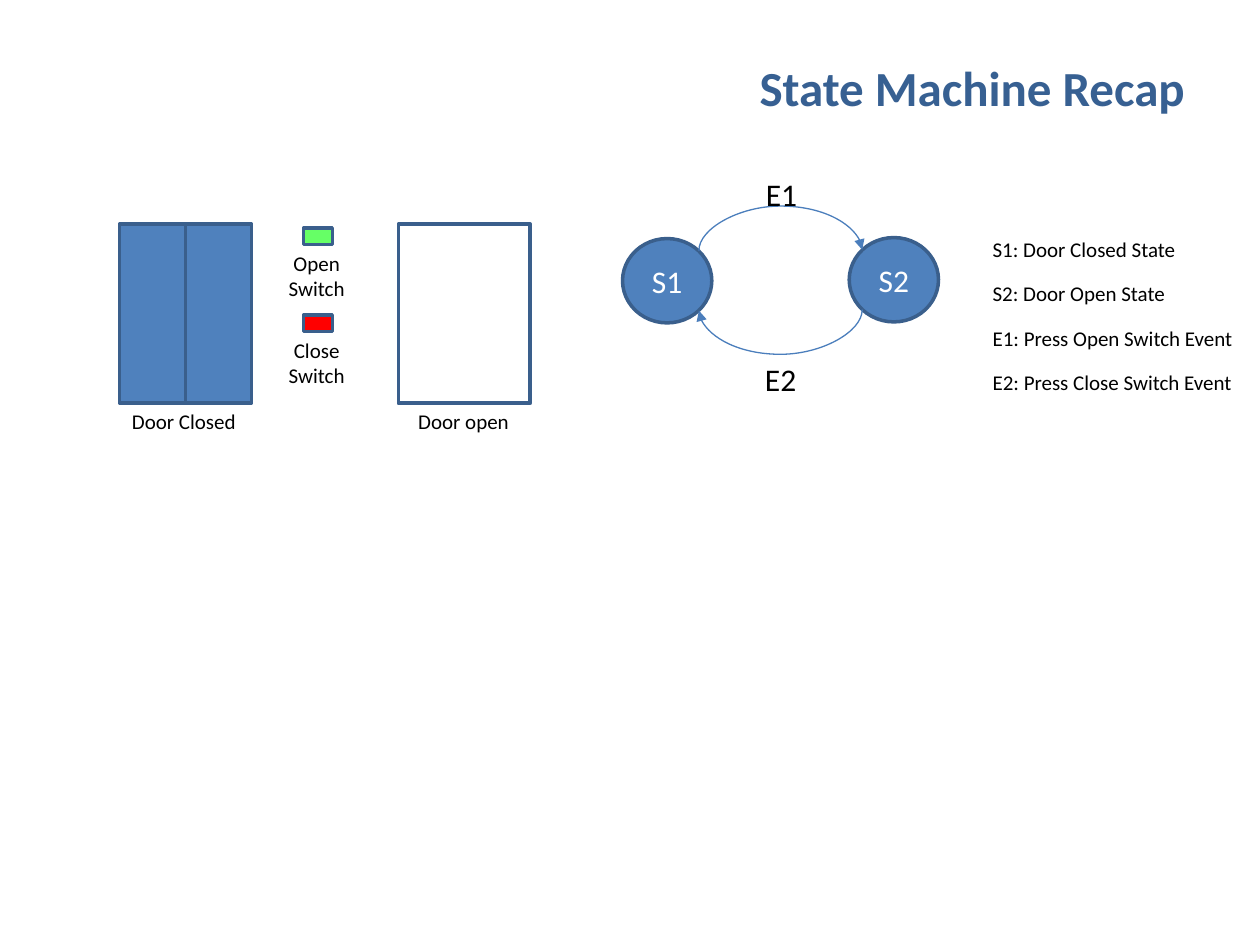
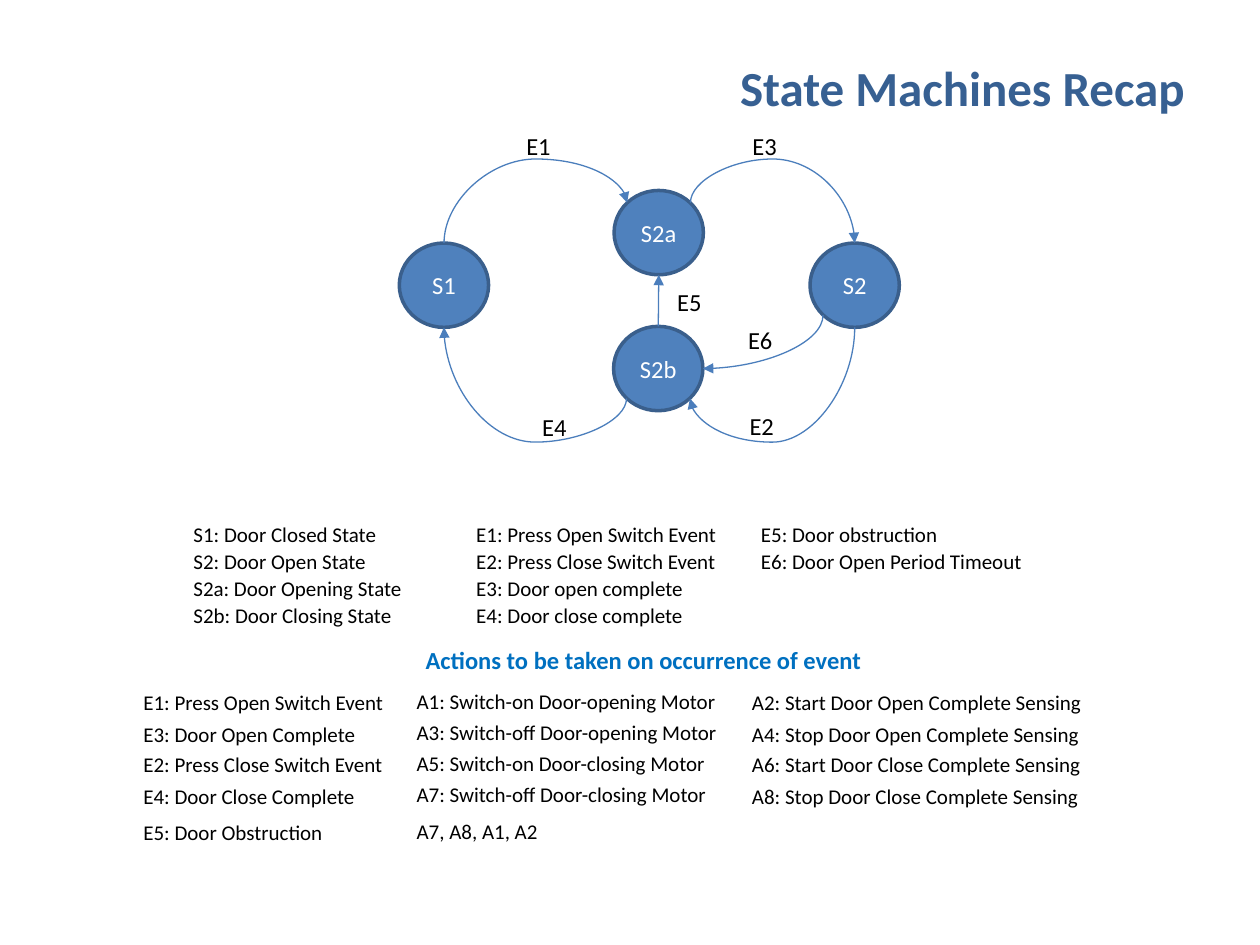
from lxml.etree import SubElement
from pptx import Presentation
from pptx.dml.color import RGBColor
from pptx.enum.shapes import MSO_CONNECTOR, MSO_SHAPE
from pptx.enum.text import MSO_ANCHOR, MSO_AUTO_SIZE, PP_ALIGN
from pptx.oxml.ns import qn
from pptx.util import Cm, Pt

FONT = "Calibri"
BLACK = RGBColor(0x00, 0x00, 0x00)
WHITE = RGBColor(0xFF, 0xFF, 0xFF)
TITLE_BLUE = RGBColor(0x37, 0x60, 0x92)
HEADING_BLUE = RGBColor(0x00, 0x70, 0xC0)
FILL_BLUE = RGBColor(0x4F, 0x81, 0xBD)
OUTLINE_BLUE = RGBColor(0x3A, 0x5F, 0x8C)
ARROW_BLUE = RGBColor(0x4B, 0x7E, 0xBC)
GREEN = RGBColor(0x66, 0xFF, 0x66)
RED = RGBColor(0xFF, 0x00, 0x00)

STATE_WIDTH, STATE_HEIGHT = 1.8, 1.7
BOW = 0.88
DIAGONAL = 0.71
TOP, BOTTOM, RIGHT = (0, -1), (0, 1), (1, 0)
TOP_LEFT, TOP_RIGHT = (-DIAGONAL, -DIAGONAL), (DIAGONAL, -DIAGONAL)
BOTTOM_LEFT, BOTTOM_RIGHT = (-DIAGONAL, DIAGONAL), (DIAGONAL, DIAGONAL)


def write(frame, text, size, color, align=PP_ALIGN.LEFT, bold=False):
    """Fill a text frame with one paragraph per line of text."""
    frame.text = text
    for paragraph in frame.paragraphs:
        paragraph.alignment = align
        paragraph.font.name = FONT
        paragraph.font.size = Pt(size)
        paragraph.font.bold = bold
        paragraph.font.color.rgb = color


def add_title(page, text):
    """Add the right-aligned slide title."""
    box = page.shapes.add_textbox(Cm(4.09), Cm(0.97), Cm(20.04), Cm(1.55))
    box.text_frame.word_wrap = True
    box.text_frame.vertical_anchor = MSO_ANCHOR.MIDDLE
    write(box.text_frame, text, 28, TITLE_BLUE, PP_ALIGN.RIGHT, True)


def add_label(page, left, top, width, text, size=12, color=BLACK, **style):
    """Add an unwrapped text box as tall as its lines."""
    height = Pt(size * 1.2) * len(text.split("\n")) + Cm(0.25)
    box = page.shapes.add_textbox(Cm(left), Cm(top), Cm(width), height)
    box.text_frame.word_wrap = False
    box.text_frame.auto_size = MSO_AUTO_SIZE.SHAPE_TO_FIT_TEXT
    write(box.text_frame, text, size, color, **style)


def add_column(page, left, tops, entries):
    """Add a column of labels, each given as text and width."""
    for top, (text, width) in zip(tops, entries):
        add_label(page, left, top, width, text)


def add_outlined(page, kind, left, top, width, height, fill=None):
    """Add a preset shape with the dark blue outline."""
    shape = page.shapes.add_shape(kind, Cm(left), Cm(top), Cm(width), Cm(height))
    shape.shadow.inherit = False
    shape.line.color.rgb = OUTLINE_BLUE
    shape.line.width = Pt(2)
    if fill is None:
        shape.fill.background()
    else:
        shape.fill.solid()
        shape.fill.fore_color.rgb = fill
    return shape


def add_state(page, name, center, size):
    """Add a state circle around its center."""
    x, y = center
    shape = add_outlined(page, MSO_SHAPE.OVAL, x - STATE_WIDTH / 2,
                         y - STATE_HEIGHT / 2, STATE_WIDTH, STATE_HEIGHT, FILL_BLUE)
    shape.text_frame.word_wrap = False
    shape.text_frame.vertical_anchor = MSO_ANCHOR.MIDDLE
    write(shape.text_frame, name, size, WHITE, PP_ALIGN.CENTER)


def anchor(center, side):
    """Return the point of a state's rim on the given side."""
    return (center[0] + side[0] * STATE_WIDTH / 2,
            center[1] + side[1] * STATE_HEIGHT / 2)


def add_arrow(page, kind, begin, end):
    """Add a thin connector with an arrowhead at its end."""
    arrow = page.shapes.add_connector(kind, *map(Cm, begin + end))
    arrow.line.color.rgb = ARROW_BLUE
    arrow.line.width = Pt(0.75)
    SubElement(arrow.line._get_or_add_ln(), qn("a:tailEnd"), type="triangle")
    SubElement(arrow._element.spPr, qn("a:effectLst"))
    return arrow


def add_curve(page, begin, end):
    """Add a curved arrow that leaves vertically, as a quarter turn of a preset."""
    x, y = (begin[0] + end[0]) / 2, (begin[1] + end[1]) / 2
    half_dx, half_dy = (end[0] - begin[0]) / 2, (end[1] - begin[1]) / 2
    curve = add_arrow(page, MSO_CONNECTOR.CURVE, (x - half_dy, y + half_dx),
                      (x + half_dy, y - half_dx))
    curve.rotation = 90
    return curve, curve._element.spPr.find(qn("a:prstGeom"))


def add_arc(page, begin, end, above):
    """Add a curved arrow that bows above or below both of its ends."""
    geometry = add_curve(page, begin, end)[1]
    ys = begin[1], end[1]
    peak = min(ys) - BOW if above else max(ys) + BOW
    share = round(100000 * (peak - ys[0]) / (ys[1] - ys[0]))
    guides = geometry.find(qn("a:avLst"))
    if guides is None:
        guides = SubElement(geometry, qn("a:avLst"))
    SubElement(guides, qn("a:gd"), name="adj1", fmla=f"val {share}")


def add_bend(page, begin, end):
    """Add a curved arrow that leaves vertically and arrives horizontally."""
    add_curve(page, begin, end)[1].set("prst", "curvedConnector2")


def add_doors(page):
    """Draw the closed door, the open door and the two switches."""
    top, height, leaf = 4.52, 3.61, 1.33
    for left in (2.41, 2.41 + leaf):
        add_outlined(page, MSO_SHAPE.RECTANGLE, left, top, leaf, height, FILL_BLUE)
    add_outlined(page, MSO_SHAPE.RECTANGLE, 8.03, top, 2 * leaf, height)
    add_label(page, 2.41, 8.12, 2.64, "Door Closed")
    add_label(page, 8.18, 8.12, 2.36, "Door open")
    for top, name, color in ((4.6, "Open", GREEN), (6.35, "Close", RED)):
        add_outlined(page, MSO_SHAPE.ACTION_BUTTON_CUSTOM, 6.12, top, 0.58, 0.33, color)
        add_label(page, 5.56, top + 0.33, 1.65, f"{name}\nSwitch", align=PP_ALIGN.CENTER)


def build_two_states(page):
    """Build the slide with the simple door machine."""
    add_title(page, "State Machine Recap")
    add_doors(page)
    closed, opened = (13.45, 5.66), (18.02, 5.64)
    add_state(page, "S1", closed, 18)
    add_state(page, "S2", opened, 18)
    add_arc(page, anchor(closed, TOP_RIGHT), anchor(opened, TOP_LEFT), True)
    add_arc(page, anchor(opened, BOTTOM_LEFT), anchor(closed, BOTTOM_RIGHT), False)
    add_label(page, 15.19, 3.4, 1.14, "E1", 18)
    add_label(page, 15.17, 7.14, 1.14, "E2", 18)
    add_column(page, 19.76, [4.65 + 0.89 * row for row in range(4)], [
        ("S1: Door Closed State", 4.24), ("S2: Door Open State", 4.04),
        ("E1: Press Open Switch Event", 5.51), ("E2: Press Close Switch Event", 5.49)])


def add_four_state_machine(page):
    """Draw the machine with the opening and closing states."""
    closed, opening = (8.95, 5.75), (13.28, 4.69)
    opened, closing = (17.23, 5.75), (13.27, 7.43)
    for name, center in (("S1", closed), ("S2a", opening), ("S2", opened), ("S2b", closing)):
        add_state(page, name, center, 14)
    add_arc(page, anchor(closed, TOP), anchor(opening, TOP_LEFT), True)
    add_arc(page, anchor(opening, TOP_RIGHT), anchor(opened, TOP), True)
    add_arc(page, anchor(closing, BOTTOM_LEFT), anchor(closed, BOTTOM), False)
    add_arc(page, anchor(opened, BOTTOM), anchor(closing, BOTTOM_RIGHT), False)
    add_bend(page, anchor(opened, BOTTOM_LEFT), anchor(closing, RIGHT))
    add_arrow(page, MSO_CONNECTOR.STRAIGHT, anchor(closing, TOP), anchor(opening, BOTTOM))
    for name, left, top in (("E1", 10.36, 2.51), ("E2", 14.86, 8.16), ("E3", 14.92, 2.51),
                            ("E4", 10.68, 8.18), ("E5", 13.4, 5.66), ("E6", 14.83, 6.42)):
        add_label(page, left, top, 1.02, name, 14)


def build_four_states(page):
    """Build the slide with the full machine, its legend and its actions."""
    add_title(page, "State Machines Recap")
    add_four_state_machine(page)
    legend_tops = [10.38 + 0.55 * row for row in range(4)]
    add_column(page, 3.65, legend_tops, [
        ("S1: Door Closed State", 4.24), ("S2: Door Open State", 4.04),
        ("S2a: Door Opening State", 4.75), ("S2b: Door Closing State", 4.55)])
    add_column(page, 9.35, legend_tops, [
        ("E1: Press Open Switch Event", 5.51), ("E2: Press Close Switch Event", 5.49),
        ("E3: Door open complete", 4.72), ("E4: Door close complete", 4.83)])
    add_column(page, 15.09, legend_tops, [
        ("E5: Door obstruction", 4.22), ("E6: Door Open Period Timeout", 5.94)])

    add_label(page, 8.33, 12.88, 9.35, "Actions to be taken on occurrence of event",
              14, HEADING_BLUE, bold=True)
    action_tops = [13.78, 14.42, 15.03, 15.67, 16.4]
    add_column(page, 2.64, action_tops, [
        ("E1: Press Open Switch Event", 5.51), ("E3: Door Open Complete", 4.98),
        ("E2: Press Close Switch Event", 5.61), ("E4: Door Close Complete", 4.83),
        ("E5: Door Obstruction", 4.17)])
    add_column(page, 8.15, [top - 0.03 for top in action_tops], [
        ("A1: Switch-on Door-opening Motor", 6.76),
        ("A3: Switch-off Door-opening Motor", 6.6),
        ("A5: Switch-on Door-closing Motor", 6.4),
        ("A7: Switch-off Door-closing Motor", 6.43), ("A7, A8, A1, A2", 3)])
    add_column(page, 14.91, action_tops, [
        ("A2: Start Door Open Complete Sensing", 7.21),
        ("A4: Stop Door Open Complete Sensing", 7.19),
        ("A6: Start Door Close Complete Sensing", 7.21),
        ("A8: Stop Door Close Complete Sensing", 7.16)])


def main():
    """Build both slides and save the deck."""
    deck = Presentation()
    deck.slide_width, deck.slide_height = Cm(25.4), Cm(19.05)
    blank = deck.slide_layouts[6]
    for build in (build_two_states, build_four_states):
        build(deck.slides.add_slide(blank))
    deck.save("out.pptx")


main()
